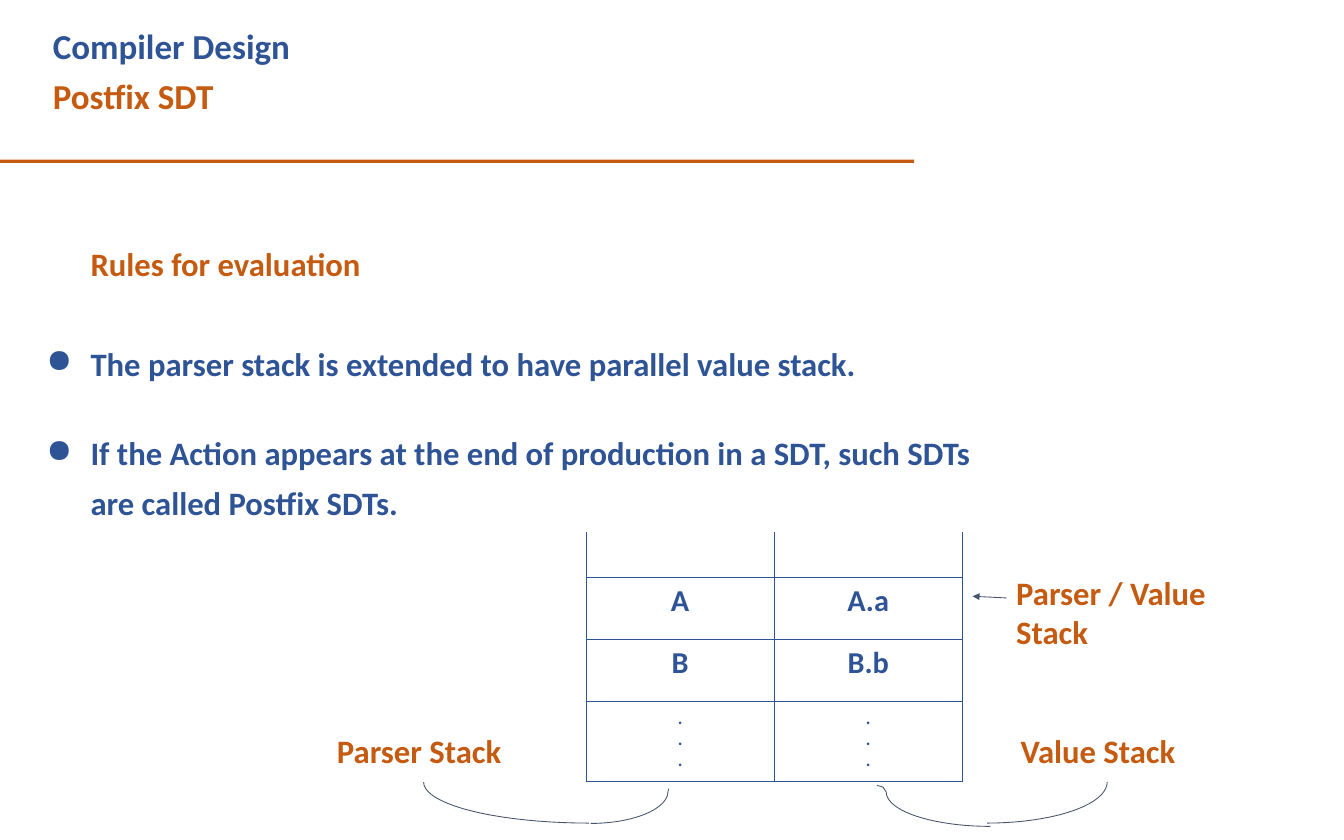
import math

from lxml import etree
from pptx import Presentation
from pptx.dml.color import RGBColor
from pptx.enum.shapes import MSO_CONNECTOR, MSO_SHAPE
from pptx.enum.text import MSO_ANCHOR, PP_ALIGN
from pptx.oxml.ns import qn
from pptx.util import Cm, Pt

BLUE = RGBColor(0x2F, 0x54, 0x96)
ORANGE = RGBColor(0xC5, 0x5A, 0x11)
SLATE = RGBColor(0x44, 0x54, 0x6A)
FONT = "Calibri"
THIN = Pt(0.75)
CENTER = PP_ALIGN.CENTER
RECTANGLE = MSO_SHAPE.RECTANGLE
STRAIGHT = MSO_CONNECTOR.STRAIGHT
TOP = MSO_ANCHOR.TOP


def write(p, text, size, color, **layout):
    """Fill a paragraph with one bold run and apply paragraph settings."""
    for name, value in layout.items():
        setattr(p, name, value)
    r = p.add_run()
    r.text = text
    for name, value in {"name": FONT, "size": Pt(size), "bold": True}.items():
        setattr(r.font, name, value)
    r.font.color.rgb = color


def add_text_frame(s, x, y, w, h, wrap=True):
    tf = s.shapes.add_textbox(Cm(x), Cm(y), Cm(w), Cm(h)).text_frame
    frame = {"margin_left": 0, "margin_right": 0, "margin_top": Cm(0.03),
             "margin_bottom": 0, "word_wrap": wrap, "vertical_anchor": TOP}
    for name, value in frame.items():
        setattr(tf, name, value)
    return tf


def add_label(s, x, y, w, text):
    tf = add_text_frame(s, x, y, w, 1.24, wrap=False)
    write(tf.paragraphs[0], text, 28, ORANGE)


def set_hanging(p, left, hang, bullet=None):
    pPr = p._p.get_or_add_pPr()
    pPr.set("marL", str(Cm(left)))
    pPr.set("indent", str(-Cm(hang)))
    if bullet:
        etree.SubElement(pPr, qn("a:buChar")).set("char", bullet)


def add_header(s, x, y, w, h):
    """Two title lines with a rule that starts at the slide edge."""
    tf = add_text_frame(s, x, y, w, h)
    write(tf.paragraphs[0], "Compiler Design", 30, BLUE, line_spacing=1.17)
    write(tf.add_paragraph(), "Postfix SDT", 30, ORANGE, line_spacing=1.17)
    rule = s.shapes.add_shape(RECTANGLE, 0, Cm(y + 4.32), Cm(27.64), Cm(0.1))
    rule.shadow.inherit = False
    rule.fill.solid()
    rule.fill.fore_color.rgb = ORANGE
    rule.line.fill.background()


def add_rules(s, x, y, w, h):
    tf = add_text_frame(s, x, y, w, h)
    heading = tf.paragraphs[0]
    set_hanging(heading, 1.37, 0)
    write(heading, "Rules for evaluation", 28, ORANGE)
    bullets = [
        ("The parser stack is extended to have parallel value stack.", 52, 1.0),
        ("If the Action appears at the end of production in a SDT, such SDTs "
         "are called Postfix SDTs.", 33, 1.29),
    ]
    for text, before, spacing in bullets:
        p = tf.add_paragraph()
        set_hanging(p, 1.37, 1.34, "●")
        write(p, text, 28, BLUE, space_before=Pt(before), line_spacing=spacing)


def set_borders(cell, open_top):
    tcPr = cell._tc.get_or_add_tcPr()
    for side in "LRTB":
        ln = etree.SubElement(tcPr, qn("a:ln" + side), w=str(THIN))
        if side == "T" and open_top:
            etree.SubElement(ln, qn("a:noFill"))
        else:
            fill = etree.SubElement(ln, qn("a:solidFill"))
            etree.SubElement(fill, qn("a:srgbClr"), val=str(BLUE))


def add_stack_table(s, x, y, col_width, row_heights):
    rows = [("", ""), ("A", "A.a"), ("B", "B.b"), (".\n.\n.", ".\n.\n.")]
    frame = s.shapes.add_table(len(rows), 2, Cm(x), Cm(y), Cm(2 * col_width),
                               Cm(sum(row_heights)))
    table = frame.table
    table.first_row = table.horz_banding = False
    for col in table.columns:
        col.width = Cm(col_width)
    for i, (values, height) in enumerate(zip(rows, row_heights)):
        table.rows[i].height = Cm(height)
        for j, value in enumerate(values):
            cell = table.cell(i, j)
            set_borders(cell, open_top=i == 0)
            cell.fill.background()
            dots = "\n" in value
            margins = {"left": 0, "right": 0, "bottom": 0,
                       "top": Cm(0.18 if dots else 0.15)}
            for side, margin in margins.items():
                setattr(cell, "margin_" + side, margin)
            tf = cell.text_frame
            for k, line in enumerate(value.split("\n") if value else []):
                p = tf.add_paragraph() if k else tf.paragraphs[0]
                write(p, line, 15 if dots else 26, BLUE, alignment=CENTER)


def quarter_arc(cx, cy, rx, ry, start):
    """Points of the lower quarter of an ellipse, turning from start degrees."""
    angles = [math.radians(start - 90 * i / 20) for i in range(21)]
    return [(cx + rx * math.cos(a), cy + ry * math.sin(a)) for a in angles]


def add_curve(s, x, y, strokes):
    """Draw open strokes, given in cm from the point x, y, as one outline."""
    strokes = [[(Cm(x + dx), Cm(y + dy)) for dx, dy in pts] for pts in strokes]
    builder = s.shapes.build_freeform(*strokes[0][0])
    for i, pts in enumerate(strokes):
        if i:
            builder.move_to(*pts[0])
        builder.add_line_segments(pts[1:], close=False)
    sp = builder.convert_to_shape()
    sp.shadow.inherit = False
    sp.fill.background()
    sp.line.color.rgb = SLATE
    sp.line.width = THIN


def add_arrow(s, x1, y1, x2, y2):
    arrow = s.shapes.add_connector(STRAIGHT, Cm(x1), Cm(y1), Cm(x2), Cm(y2))
    arrow.line.color.rgb = SLATE
    arrow.line.width = THIN
    etree.SubElement(arrow.line._get_or_add_ln(), qn("a:tailEnd"), type="triangle")
    etree.SubElement(arrow._element.spPr, qn("a:effectLst"))


def add_stack_diagram(s, x, y):
    """Stack table at x, y with its labels, arrow and leader curves."""
    row_heights = [1.35, 1.88, 1.88, 2.41]
    add_stack_table(s, x, y, 5.69, row_heights)
    bottom = y + sum(row_heights)
    labels = [(-7.53, -1.55, 5.03, "Parser Stack"),
              (13.14, -1.55, 4.75, "Value Stack"),
              (13.01, -6.32, 8.1, "Parser / Value Stack")]
    for dx, dy, w, text in labels:
        add_label(s, x + dx, bottom + dy, w, text)
    add_curve(s, x, bottom, [
        quarter_arc(0.09, 0.03, 5, 1.24, 180),
        quarter_arc(0.14, 0.31, 2.34, 0.97, 90) + [(2.5, 0.23)],
    ])
    add_curve(s, x, bottom, [
        [(8.8, 0.13), (8.98, 0.18)] + quarter_arc(12.23, 0.33, 3.15, 1.04, 180),
        quarter_arc(12.13, 0.03, 3.63, 1.24, 90),
    ])
    add_arrow(s, x + 12.71, bottom - 5.54, x + 11.69, bottom - 5.59)


def main():
    prs = Presentation()
    prs.slide_width, prs.slide_height = Cm(40.64), Cm(25.4)
    s = prs.slides.add_slide(prs.slide_layouts[6])
    add_header(s, 1.6, 0.51, 7.24, 3.02)
    add_rules(s, 1.37, 7.34, 28.6, 8.6)
    add_stack_diagram(s, 17.72, 16.1)
    prs.save("out.pptx")


if __name__ == "__main__":
    main()
